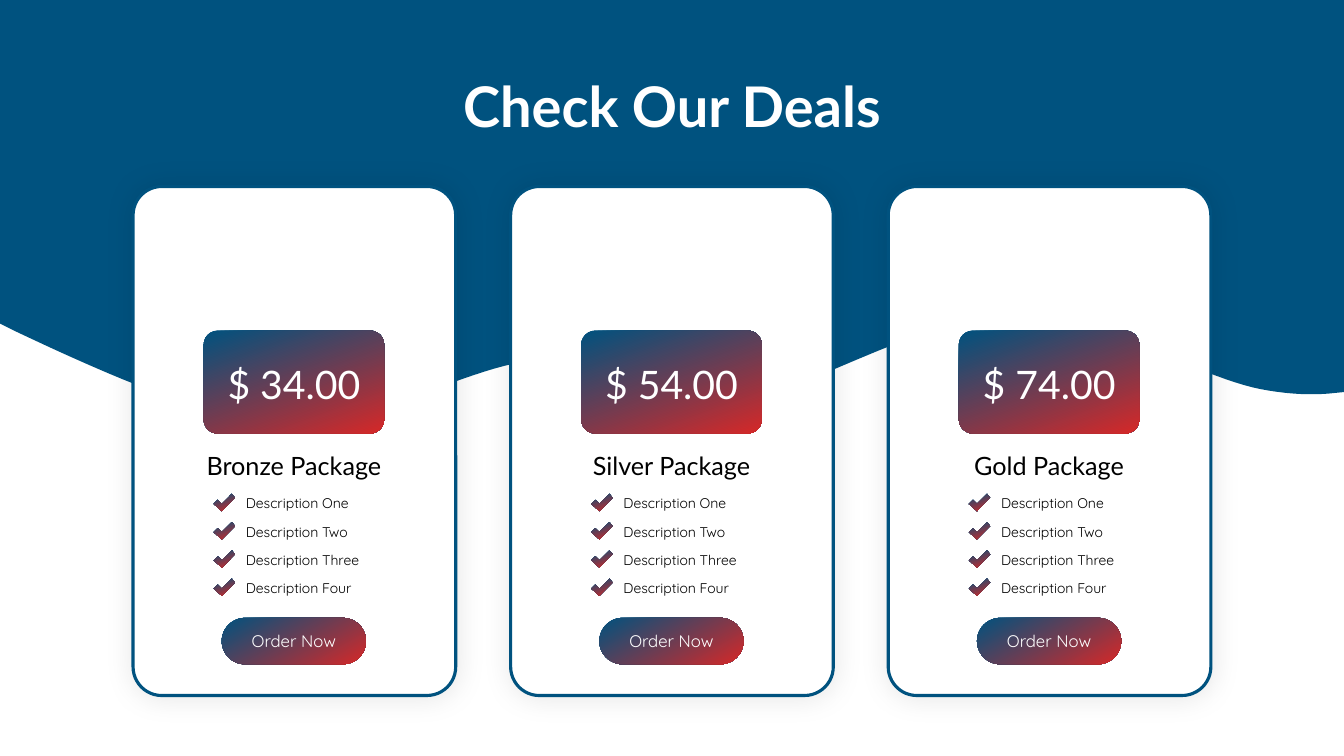
from lxml.etree import SubElement
from pptx import Presentation
from pptx.dml.color import RGBColor
from pptx.enum.shapes import MSO_SHAPE
from pptx.enum.text import MSO_ANCHOR, MSO_AUTO_SIZE, PP_ALIGN
from pptx.oxml.ns import qn
from pptx.util import Inches, Pt

TITLE = "Check Our Deals"
DEALS = [
    ("Bronze Package", "$ 34.00"),
    ("Silver Package", "$ 54.00"),
    ("Gold Package", "$ 74.00"),
]
ITEMS = ["Description One", "Description Two", "Description Three", "Description Four"]
ORDER = "Order Now"

HUES = {"blue": "00527F", "red": "D62828", "white": "FFFFFF", "black": "000000"}
WIDE, HIGH = 13.33, 7.5
EDGE, TOP = 1.32, 1.85
CARD_W, CARD_H = 3.2, 5.05
PITCH = (WIDE - 2 * EDGE - CARD_W) / (len(DEALS) - 1)
ROW = 0.28
STEPS = 24

WAVE = [
    [(13.23, 3.9), (13.05, 3.92), (12.81, 3.92), (12.5, 3.86)],
    [(12.5, 3.86), (11.88, 3.74), (10.86, 3.11), (9.96, 3.14)],
    [(9.96, 3.14), (9.05, 3.17), (7.83, 3.99), (7.07, 4.06)],
    [(7.07, 4.06), (6.3, 4.13), (6.12, 3.55), (5.39, 3.57)],
    [(5.39, 3.57), (4.66, 3.59), (3.66, 4.29), (2.7, 4.2)],
    [(2.7, 4.2), (1.97, 4.13), (0.88, 3.63), (0.16, 3.29)],
]
TICK = [(0.08, 0.17), (0, 0.1), (0.04, 0.06), (0.08, 0.1), (0.18, 0), (0.21, 0.04)]

FONTS = {
    "title": {"name": "Lato", "size": Pt(40), "bold": True, "hue": "white"},
    "price": {"name": "Lato", "size": Pt(28), "hue": "white"},
    "name": {"name": "Lato", "size": Pt(18), "hue": "black"},
    "order": {"name": "Quicksand", "size": Pt(12), "hue": "white"},
    "item": {"name": "Quicksand", "size": Pt(10), "hue": "black"},
}


def color(key):
    return RGBColor.from_string(HUES[key])


def paint(shape, hue=None, angle=70):
    shape.shadow.inherit = False
    shape.line.fill.background()
    if hue:
        shape.fill.solid()
        shape.fill.fore_color.rgb = color(hue)
        return
    shape.fill.gradient()
    shape.fill.gradient_angle = 360 - angle
    for stop, key in zip(shape.fill.gradient_stops, ("blue", "red")):
        stop.color.rgb = color(key)


def outline(points):
    spots = [(Inches(x), Inches(y)) for x, y in points]
    pen = slide.shapes.build_freeform(*spots[0])
    pen.add_line_segments(spots[1:], close=True)
    return pen.convert_to_shape()


def rounded(x, y, w, h, bend):
    box = slide.shapes.add_shape(
        MSO_SHAPE.ROUNDED_RECTANGLE, Inches(x), Inches(y), Inches(w), Inches(h)
    )
    box.adjustments[0] = bend
    return box


def write(text, kind, x, y, w, h, align=PP_ALIGN.CENTER):
    frame = slide.shapes.add_textbox(Inches(x), Inches(y), Inches(w), Inches(h)).text_frame
    frame.word_wrap = True
    frame.auto_size = MSO_AUTO_SIZE.SHAPE_TO_FIT_TEXT
    line = frame.paragraphs[0]
    line.alignment = align
    run = line.add_run()
    run.text = text
    for key, value in FONTS[kind].items():
        if key == "hue":
            run.font.color.rgb = color(value)
        else:
            setattr(run.font, key, value)
    return frame


def curve(ends):
    for step in range(1, STEPS + 1):
        t = step / STEPS
        mix = ((1 - t) ** 3, 3 * t * (1 - t) ** 2, 3 * t * t * (1 - t), t ** 3)
        yield tuple(sum(m * p[axis] for m, p in zip(mix, ends)) for axis in (0, 1))


def panel(x):
    card = rounded(x, TOP, CARD_W, CARD_H, 0.089)
    paint(card, "white")
    card.line.color.rgb = color("blue")
    card.line.width = Pt(2.25)
    effects = card._element.spPr.find(qn("a:effectLst"))
    glow = SubElement(effects, qn("a:outerShdw"), blurRad=str(Pt(20)), dist="0",
                      dir="0", algn="ctr", rotWithShape="0")
    tint = SubElement(glow, qn("a:srgbClr"), val=HUES["black"])
    SubElement(tint, qn("a:alpha"), val="10000")


def deal(x, name, price):
    write(name, "name", x + 0.37, 4.42, 2.45, 0.4)
    paint(rounded(x + 0.88, 6.13, 1.43, 0.46, 0.5), angle=60)
    write(ORDER, "order", x + 0.93, 6.21, 1.33, 0.3)
    paint(rounded(x + 0.7, 3.28, 1.79, 1.02, 0.136))
    write(price, "price", x + 0.7, 3.53, 1.79, 0.57)
    for row, item in enumerate(ITEMS):
        y = 4.9 + row * ROW
        paint(outline([(x + 0.8 + dx, y + dy) for dx, dy in TICK]))
        write(item, "item", x + 1.02, y - 0.04, 1.39, 0.27, PP_ALIGN.LEFT)


deck = Presentation()
deck.slide_width, deck.slide_height = Inches(WIDE), Inches(HIGH)
slide = deck.slides.add_slide(deck.slide_layouts[6])

shore = [spot for ends in WAVE for spot in curve(ends)]
paint(outline([(0, 0), (WIDE, 0), (WIDE, 3.89), WAVE[0][0], *shore, (0, 3.21)]), "blue")

lefts = [EDGE + n * PITCH for n in range(len(DEALS))]
for left in lefts:
    panel(left)
for left, (name, price) in zip(lefts, DEALS):
    deal(left, name, price)

head = write(TITLE, "title", 2.75, 0.36, 7.83, 1.45)
head.auto_size = MSO_AUTO_SIZE.NONE
head.vertical_anchor = MSO_ANCHOR.MIDDLE
head.paragraphs[0].line_spacing = 0.9

deck.save("out.pptx")
